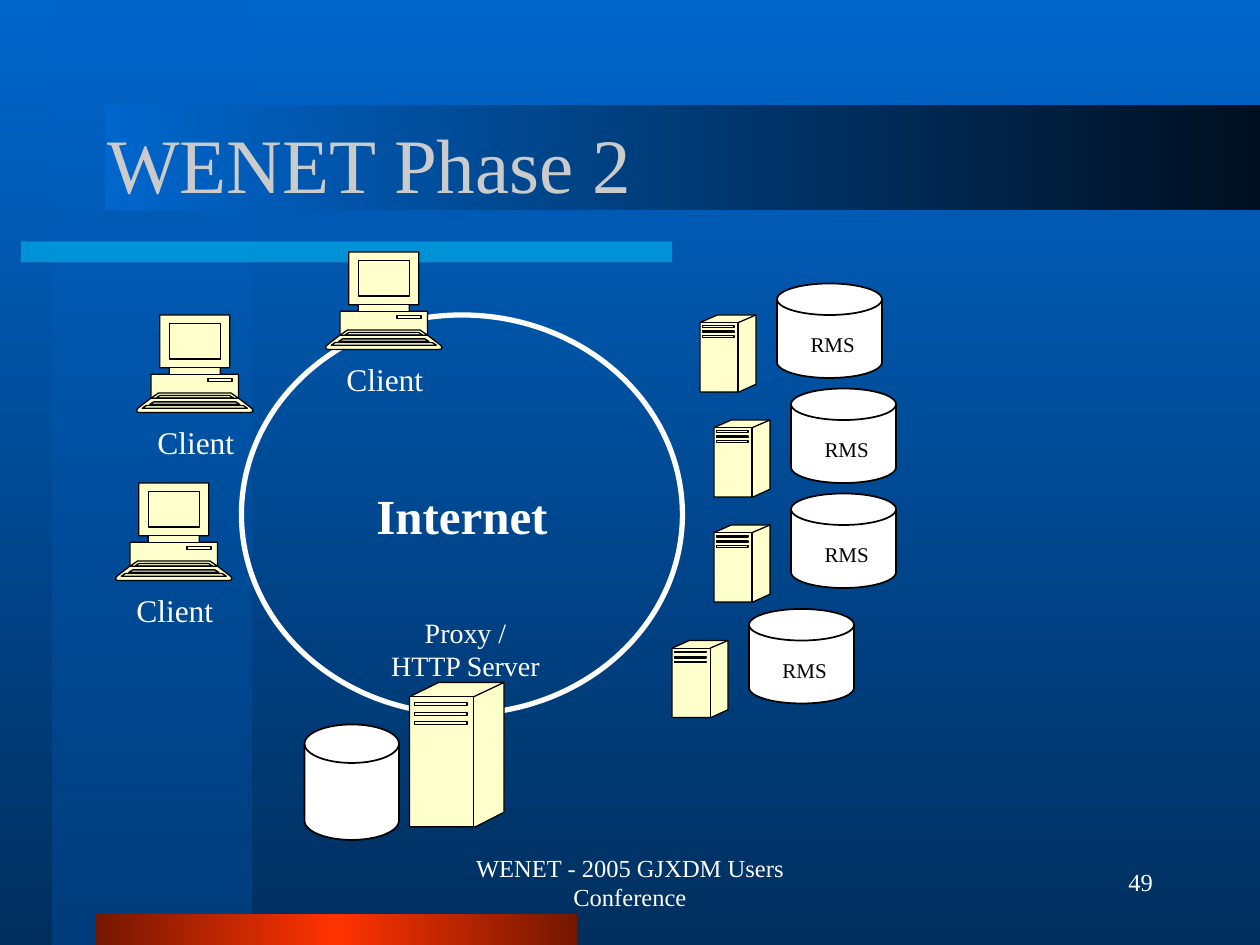
from dataclasses import dataclass

from lxml.etree import SubElement
from pptx import Presentation
from pptx.dml.color import RGBColor
from pptx.enum.shapes import MSO_SHAPE
from pptx.enum.text import MSO_ANCHOR, MSO_AUTO_SIZE, PP_ALIGN
from pptx.oxml.ns import qn
from pptx.util import Pt


@dataclass(frozen=True)
class Theme:
    font: str = "Times New Roman"
    white: str = "FFFFFF"
    black: str = "000000"
    cream: str = "FFFFCC"
    silver: str = "CBCBCB"
    blue: str = "0066CC"
    navy: str = "002F5E"
    deep: str = "003E7D"
    night: str = "000F1F"
    cyan: str = "00CCFF"
    red: str = "FF3300"
    brown: str = "751700"
    title: int = 44
    cloud: int = 28
    label: int = 18
    proxy: int = 16
    foot: int = 14
    disk: int = 12


T = Theme()
TENTH = Pt(0.1)


def rgb(code):
    return RGBColor.from_string(code)


def place(box):
    return [Pt(n) for n in box]


def fade(owner, fill, stops, angle):
    fill.gradient()
    fill.gradient_angle = angle
    items = owner.find(".//" + qn("a:gsLst"))
    items.clear()
    for pos, code, alpha in stops:
        stop = SubElement(items, qn("a:gs"), pos=str(pos * 1000))
        tint = SubElement(stop, qn("a:srgbClr"), val=code)
        if alpha < 100:
            SubElement(tint, qn("a:alpha"), val=str(alpha * 1000))


def paint(shape, fill=None, line=None, width=0.75):
    shape.shadow.inherit = False
    if fill:
        shape.fill.solid()
        shape.fill.fore_color.rgb = rgb(fill)
    else:
        shape.fill.background()
    if line:
        shape.line.color.rgb = rgb(line)
        shape.line.width = Pt(width)
    else:
        shape.line.fill.background()
    return shape


def text(shape, words, size, color=T.white, bold=False, align=PP_ALIGN.LEFT,
         anchor=MSO_ANCHOR.TOP, wrap=False):
    frame = shape.text_frame
    frame.auto_size = MSO_AUTO_SIZE.NONE
    frame.word_wrap = wrap
    frame.vertical_anchor = anchor
    frame.margin_left = frame.margin_right = Pt(7.2)
    frame.margin_top = frame.margin_bottom = Pt(3.6)
    para = frame.paragraphs[0]
    para.text = words
    para.alignment = align
    for run in para.runs:
        run.font.name = T.font
        run.font.size = Pt(size)
        run.font.bold = bold
        run.font.color.rgb = rgb(color)


def label(tree, box, words, size, **style):
    text(tree.add_textbox(*place(box)), words, size, **style)


def band(tree, box, stops, angle):
    bar = paint(tree.add_shape(MSO_SHAPE.RECTANGLE, *place(box)))
    fade(bar.element, bar.fill, stops, angle)


def draw(tree, left, top, lines, fill=None):
    pen = tree.build_freeform(*lines[0][0], scale=TENTH)
    for index, line in enumerate(lines):
        if index:
            pen.move_to(*line[0])
        pen.add_line_segments(line[1:], close=len(line) > 2)
    paint(pen.convert_to_shape(Pt(left), Pt(top)), fill, T.black)


def rect(left, top, right, base):
    return [(left, top), (right, top), (right, base), (left, base)]


def client(tree, left, top):
    wide = 666
    half = [(133, 0), (133, 302), (187, 302), (187, 339), (83, 339), (83, 475),
            (18, 525), (6, 535), (0, 547), (6, 555), (18, 557)]
    body = half + [(wide - x, y) for x, y in reversed(half)]
    rows = [(133, 461, 112, 475), (98, 497, 76, 511),
            (55, 518, 33, 533), (126, 446, 83, 476)]
    keys = [[(a, y), (wide - a, y), (wide - b, z), (b, z)]
            for a, y, b, z in rows]
    parts = [rect(187, 50, 479, 252), rect(187, 302, 479, 339),
             rect(408, 364, 545, 380)]
    group = tree.add_group_shape().shapes
    draw(group, left, top, [body], T.cream)
    draw(group, left, top, keys + parts)
    label(group, (left + 4.8, top + 58.4, 58.3, 28.8), "Client", T.label)


def server(tree, left, top, wide, high):
    def fit(points):
        return [(x * wide * 10, y * high * 10) for x, y in points]

    body = [(0, 0.1), (0.31, 0), (1, 0), (1, 0.9), (0.7, 1), (0, 1)]
    edges = [[(0, 0.1), (0.68, 0.1)], [(0.68, 0.1), (1, 0)],
             [(0.68, 0.1), (0.68, 1)]]
    slots = [rect(0.05, y, 0.61, y + 0.02) for y in (0.14, 0.21, 0.27)]
    draw(tree, left, top, [fit(body)], T.cream)
    draw(tree, left, top, [fit(line) for line in edges + slots])


def disk(tree, *box):
    drum = tree.add_shape(MSO_SHAPE.FLOWCHART_MAGNETIC_DISK, *place(box))
    paint(drum, T.white, T.black, 1)


def store(tree, left, top):
    group = tree.add_group_shape().shapes
    server(group, left, top, 32, 44)
    disk(group, left + 44, top - 18, 60, 54)
    label(group, (left + 56, top + 6, 39.6, 21.6), "RMS", T.disk,
          color=T.black, align=PP_ALIGN.CENTER)


def scene(slide):
    tree = slide.shapes
    fade(slide.element, slide.background.fill,
         [(0, T.blue, 100), (100, T.navy, 100)], 270)
    band(tree, (30, 0, 114, 540), [(0, T.blue, 50), (100, T.deep, 100)], 270)
    band(tree, (12, 138, 372, 12), [(0, T.cyan, 50), (100, T.cyan, 50)], 0)
    band(tree, (54, 522, 276, 18),
         [(0, T.brown, 100), (50, T.red, 100), (100, T.brown, 100)], 180)
    band(tree, (60, 60, 660, 60),
         [(0, T.night, 100), (100, T.blue, 100)], 180)


def head(slide, words):
    title = slide.shapes.title
    title.left, title.top, title.width, title.height = place((54, 48, 612, 90))
    text(title, words, T.title, color=T.silver, anchor=MSO_ANCHOR.MIDDLE,
         wrap=True)
    title.element.getparent().append(title.element)


def main():
    deck = Presentation()
    deck.slide_width, deck.slide_height = Pt(720), Pt(540)
    slide = deck.slides.add_slide(deck.slide_layouts[5])
    tree = slide.shapes
    scene(slide)
    head(slide, "WENET Phase 2")

    cloud = tree.add_shape(MSO_SHAPE.OVAL, *place((138, 180, 252, 228)))
    paint(cloud, line=T.white, width=3)
    text(cloud, "Internet", T.cloud, bold=True, align=PP_ALIGN.CENTER,
         anchor=MSO_ANCHOR.MIDDLE)
    server(tree, 234, 390, 54, 82.5)
    disk(tree, 174, 414, 54, 66)
    label(tree, (216, 348, 100, 46), "Proxy /\vHTTP Server", T.proxy,
          align=PP_ALIGN.CENTER)

    for spot in ((400, 180), (408, 240), (408, 300), (384, 366)):
        store(tree, *spot)
    for spot in ((78, 180), (66, 276), (186, 144)):
        client(tree, *spot)

    foot = {"anchor": MSO_ANCHOR.MIDDLE, "wrap": True}
    label(tree, (246, 486, 228, 36), "WENET - 2005 GJXDM Users Conference",
          T.foot, align=PP_ALIGN.CENTER, **foot)
    label(tree, (516, 486, 150, 36), "49", T.foot, align=PP_ALIGN.RIGHT, **foot)
    deck.save("out.pptx")


if __name__ == "__main__":
    main()
